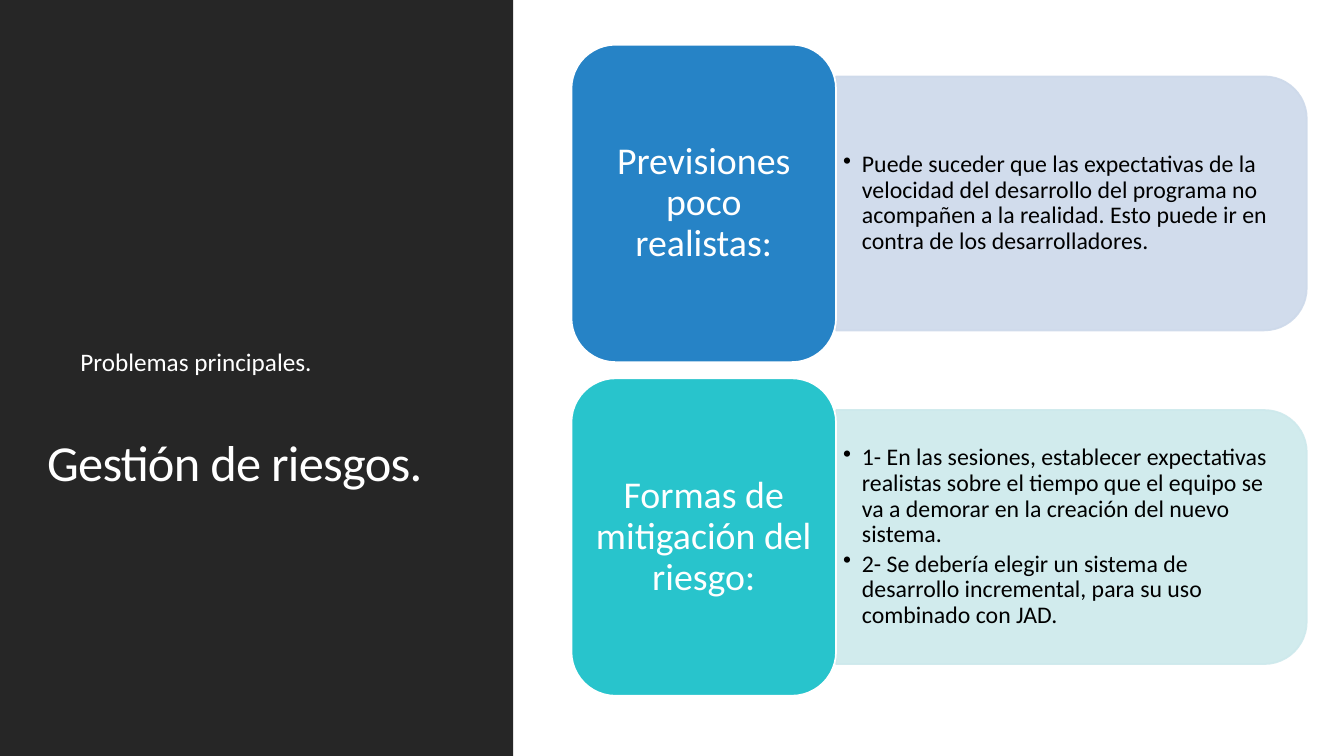
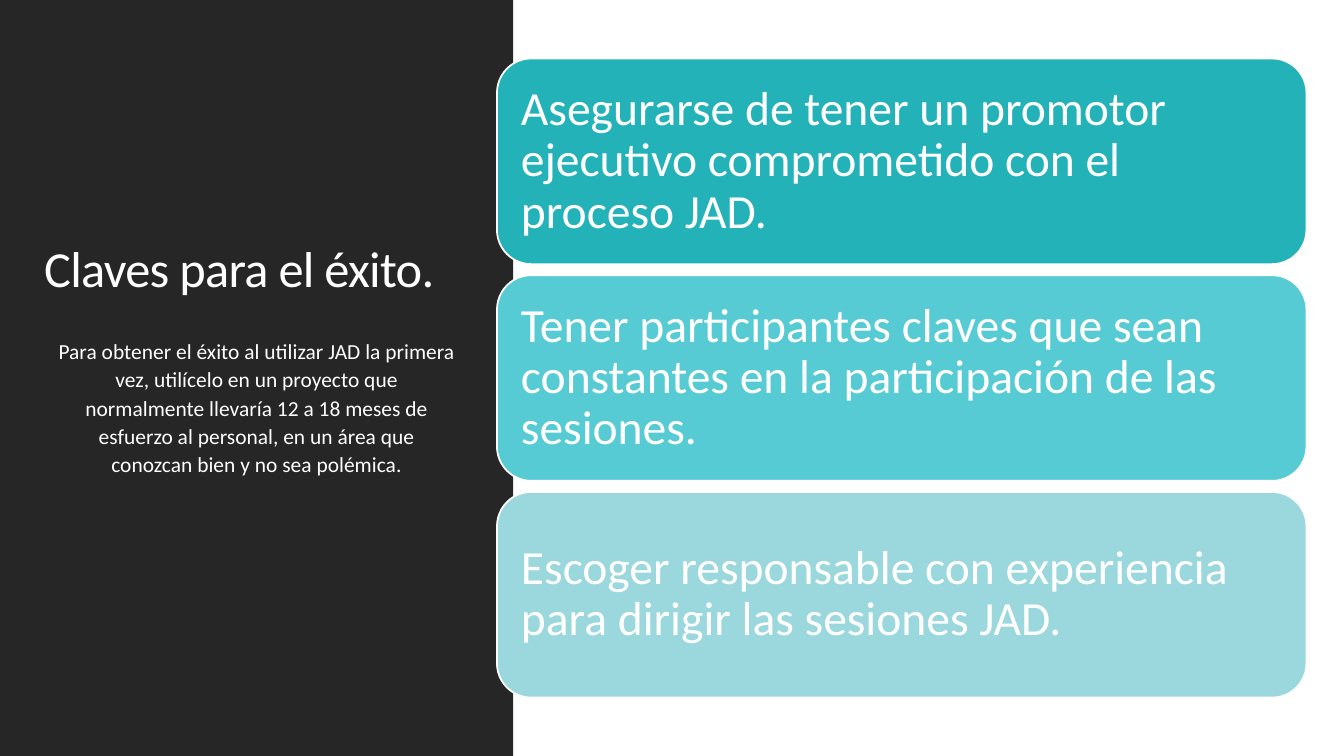
"""Build two slides on JAD risk management and keys to success."""
import lxml.etree
import pptx
import pptx.dml.color
import pptx.enum.shapes
import pptx.enum.text
import pptx.oxml.ns
import pptx.util

Pt = pptx.util.Pt
RGB = pptx.dml.color.RGBColor.from_string
qn = pptx.oxml.ns.qn
SHAPE = pptx.enum.shapes.MSO_SHAPE
ANCHOR = pptx.enum.text.MSO_ANCHOR
ALIGN = pptx.enum.text.PP_ALIGN


class Theme:
    font = "Calibri"
    dark, white, black = "262626", "FFFFFF", "000000"
    blue, blue_tint = "2683C6", "CDD9EA"
    aqua, aqua_tint = "28C4CC", "CDE9EC"
    keys = ("24B2B9", "57CBD3", "9AD8DD")
    title, label, key, detail = 36, 27, 34, 17
    outline = 1.25


def add_box(s, kind, left, top, width, height, fill, line=None):
    sp = s.shapes.add_shape(kind, Pt(left), Pt(top), Pt(width), Pt(height))
    sp.shadow.inherit = False
    sp.fill.solid()
    sp.fill.fore_color.rgb = RGB(fill)
    if line:
        sp.line.color.rgb = RGB(line)
        sp.line.width = Pt(Theme.outline)
    else:
        sp.line.fill.background()
    return sp


def write(sp, texts, size, color=Theme.white, align=ALIGN.LEFT, anchor=ANCHOR.MIDDLE,
          inset=(7.2, 3.6), spacing=0.9, bullet=False, tracking=None):
    tf = sp.text_frame
    tf.word_wrap = True
    tf.vertical_anchor = anchor
    tf.margin_left = tf.margin_right = Pt(inset[0])
    tf.margin_top = tf.margin_bottom = Pt(inset[1])
    for i, text in enumerate(texts):
        p = tf.paragraphs[0] if i == 0 else tf.add_paragraph()
        p.alignment = align
        p.line_spacing = spacing
        if bullet:
            p.space_after = Pt(2.5)
            pPr = p._p.get_or_add_pPr()
            pPr.set("marL", str(Pt(13.5)))
            pPr.set("indent", str(-Pt(13.5)))
            lxml.etree.SubElement(pPr, qn("a:buChar"), char="•")
        r = p.add_run()
        r.text = text
        r.font.name = Theme.font
        r.font.size = Pt(size)
        r.font.color.rgb = RGB(color)
        if tracking:
            r._r.get_or_add_rPr().set("spc", str(tracking))


prs = pptx.Presentation()
prs.slide_width, prs.slide_height = Pt(960), Pt(540)

sidebars = [
    ("Gestión de riesgos.", (26.6, 203.8, 317.5, 151.2),
     "Problemas principales.", (50.4, 239.8, 277.2, 241.2), 18, ALIGN.LEFT, 1.2),
    ("Claves para el éxito.", (24.5, 65.5, 317.5, 151.2),
     "Para obtener el éxito al utilizar JAD la primera vez, utilícelo en un proyecto que "
     "normalmente llevaría 12 a 18 meses de esfuerzo al personal, en un área que conozcan "
     "bien y no sea polémica.", (34.6, 236.2, 297.4, 108), 15.3, ALIGN.CENTER, 1.1),
]
slides = []
for title, title_at, body, body_at, size, align, spacing in sidebars:
    s = prs.slides.add_slide(prs.slide_layouts[6])
    slides.append(s)
    add_box(s, SHAPE.RECTANGLE, 0, 0, 366.5, 540, Theme.dark)
    sp = s.shapes.add_textbox(*map(Pt, title_at))
    write(sp, [title], Theme.title, anchor=ANCHOR.BOTTOM, tracking=-50)
    sp = s.shapes.add_textbox(*map(Pt, body_at))
    write(sp, [body], size, align=align, anchor=ANCHOR.TOP, spacing=spacing)

risks = [
    ("Previsiones poco realistas:", Theme.blue, Theme.blue_tint,
     ["Puede suceder que las expectativas de la velocidad del desarrollo del programa no "
      "acompañen a la realidad. Esto puede ir en contra de los desarrolladores."]),
    ("Formas de mitigación del riesgo:", Theme.aqua, Theme.aqua_tint,
     ["1- En las sesiones, establecer expectativas realistas sobre el tiempo que el equipo "
      "se va a demorar en la creación del nuevo sistema.",
      "2- Se debería elegir un sistema de desarrollo incremental, para su uso combinado "
      "con JAD."]),
]
card_left, card_width, card_height = 408.2, 189, 226.8
panel_left = card_left + card_width
panel_width, panel_height = 336.2, 181.4
detail_width, detail_height = 327.6, 163.4
for i, (label, fill, tint, details) in enumerate(risks):
    top = 31.9 + i * 238.3
    middle = top + card_height / 2
    sp = add_box(slides[0], SHAPE.ROUND_2_SAME_RECTANGLE,
                 panel_left + (panel_width - panel_height) / 2, middle - panel_width / 2,
                 panel_height, panel_width, tint, tint)
    sp.rotation = 90
    for clr in sp._element.spPr.iter(qn("a:srgbClr")):
        lxml.etree.SubElement(clr, qn("a:alpha"), val="90000")
    sp = slides[0].shapes.add_textbox(Pt(panel_left), Pt(middle - detail_height / 2),
                                      Pt(detail_width), Pt(detail_height))
    write(sp, details, Theme.detail, Theme.black, inset=(5, 2.5), bullet=True)
    sp = add_box(slides[0], SHAPE.ROUNDED_RECTANGLE, card_left, top,
                 card_width, card_height, fill, Theme.white)
    write(sp, [label], Theme.label, align=ALIGN.CENTER, inset=(8, 4))

keys = [
    "Asegurarse de tener un promotor ejecutivo comprometido con el proceso JAD.",
    "Tener participantes claves que sean constantes en la participación de las sesiones.",
    "Escoger responsable con experiencia para dirigir las sesiones JAD.",
]
for i, (text, fill) in enumerate(zip(keys, Theme.keys)):
    sp = add_box(slides[1], SHAPE.ROUNDED_RECTANGLE, 355, 41.8 + i * 154.8,
                 578.2, 146.9, fill, Theme.white)
    write(sp, [text], Theme.key, inset=(10, 10))

prs.save("out.pptx")
